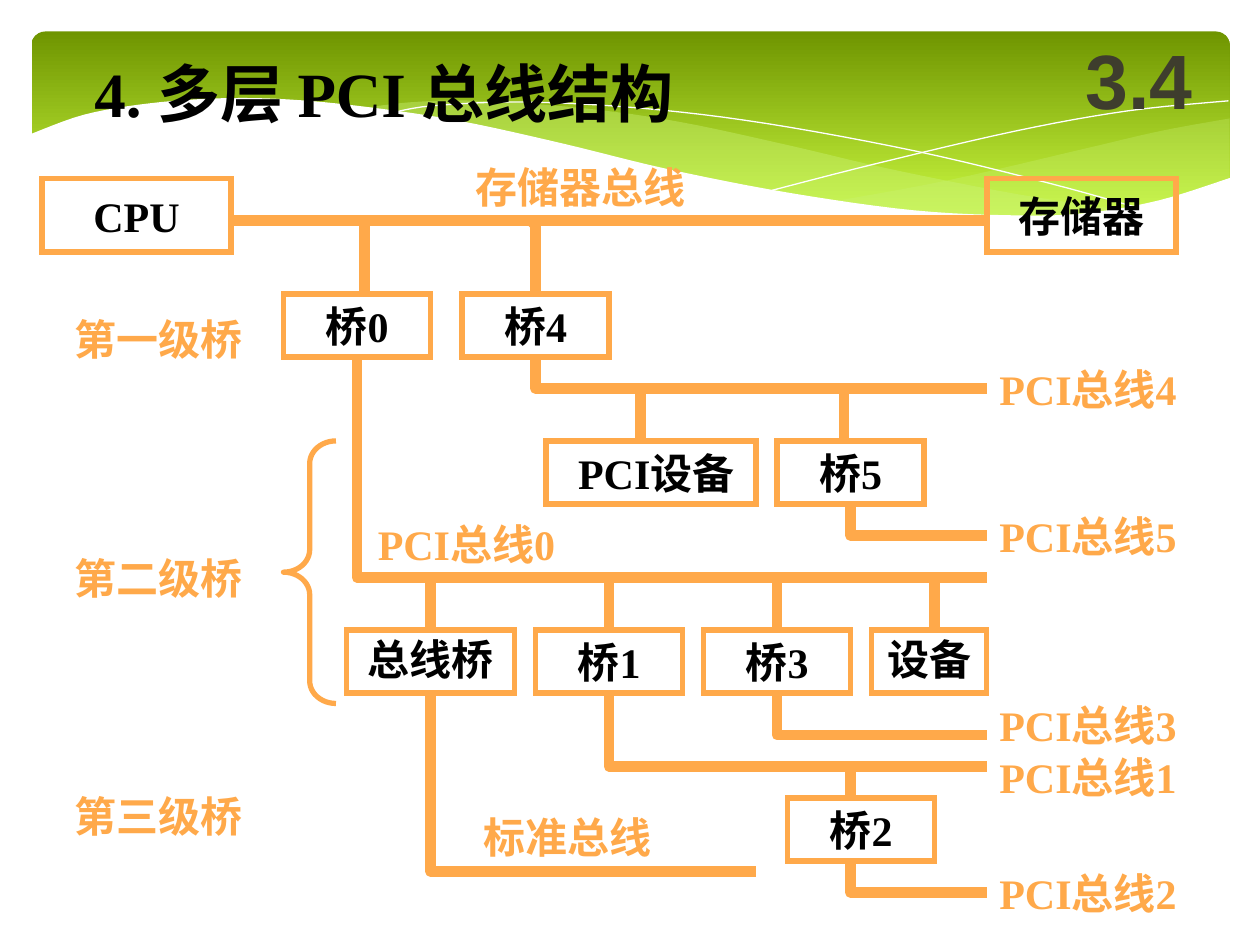
from pptx import Presentation, util as u
from pptx.dml.color import RGBColor
from pptx.enum import shapes, text
from pptx.oxml.ns import qn
from lxml import etree

COLORS = {"bus": "FFA94A", "ink": "000000", "number": "3E3D2D", "white": "FFFFFF",
          "wave": "CAF278", "top": "6F9500", "bottom": "D0FF44"}
COLUMNS = 120  # grid columns over the slide width; rows use the same step

# Banner curves, as points in inches
RIGHT_WAVE = [
    [(9.76, .94), (9.21, 1.04), (8.61, 1.18), (7.53, 1.43), (6.61, 1.6)],
    [(6.61, 1.6), (7.18, 1.67), (7.69, 1.71), (8.24, 1.72), (8.72, 1.69), (9.21, 1.6),
     (9.76, 1.41)]]
LONG_WAVE = [
    [(8.93, 1.67), (8.07, 1.54), (7.06, 1.34), (6.29, 1.16), (5.41, .97), (4.64, .86),
     (3.8, .8), (3.28, .81), (2.86, .86)],
    [(2.86, .86), (3.62, .97), (4.49, 1.16), (5.66, 1.43), (6.5, 1.58), (7.36, 1.69),
     (8.18, 1.73), (8.93, 1.67)]]
FALLING_LINE = [[(3.09, .9), (3.43, .84), (4.16, .81), (5.1, .86), (6.08, .98), (7.27, 1.2),
                 (8.31, 1.45), (9.07, 1.66)]]
RISING_LINE = [[(6.13, 1.51), (6.95, 1.3), (8.06, 1.04), (8.95, .88), (9.75, .8)]]
WHITE_EDGE = [
    [(9.77, 1.41), (9.2, 1.59), (8.63, 1.69), (8.09, 1.71), (7.26, 1.67), (6.26, 1.53),
     (5.29, 1.34), (4.47, 1.14), (3.65, .96), (2.92, .85), (2.3, .79), (1.76, .78),
     (1.19, .82), (.67, .91), (.23, 1.07)],
    [(.23, 1.07), (.23, 2.24)], [(.23, 2.24), (9.77, 2.24)]]
# curves, fill, opacity in percent (no fill: a white hairline)
WAVES = [(RIGHT_WAVE, "wave", 29), (LONG_WAVE, "wave", 40), (FALLING_LINE, None, 0),
         (RISING_LINE, None, 0), (WHITE_EDGE, "white", 100)]

# Diagram, in grid steps: text, left, top, width, height
BOXES = [
    ("CPU", 4, 17, 18, 7), ("存储器", 94, 17, 18, 7),
    ("桥0", 27, 28, 14, 6), ("桥4", 44, 28, 14, 6),
    (" PCI设备", 52, 42, 20, 6), ("桥5", 74, 42, 14, 6),
    ("总线桥", 33, 60, 16, 6), ("桥1", 51, 60, 14, 6),
    ("桥3", 67, 60, 14, 6), ("设备", 83, 60, 11, 6), ("桥2", 75, 76, 14, 6)]
RAISED = ("总线桥", "设备")
# column, from row, to row, box joined at its top middle
DROPS = [
    (34.7, 21.4, 28, None), (51, 21, 28, "桥4"), (80.4, 37.3, 42, None), (61, 37, 42, None),
    (41, 55, 60, "总线桥"), (58, 55, 60, "桥1"), (74, 55, 60, "桥3"), (89, 55, 60, None),
    (81, 73, 76, None)]
MEMORY_BUS = (22, 94, 21)  # from column, to column, row
BUS_END = 94
# column, from row, down to row, across to column
ELBOWS = [
    (51, 34, 37, BUS_END), (34, 34, 55, BUS_END), (81, 48, 51, BUS_END), (74, 66, 70, BUS_END),
    (58, 66, 73, BUS_END), (41, 66, 83, 72), (81, 82, 85, BUS_END)]
JUNCTIONS = [(34.4, 21), (50.5, 21)]
BRACE = (27, 42, 5, 25)
# text, left, top, width
LABELS = [
    ("第一级桥", 5.9, 29.3, 18.4), ("第二级桥", 5.9, 52, 18.4), ("第三级桥", 5.9, 74.7, 18.4),
    ("存储器总线", 44.1, 14.8, 22.6), ("标准总线", 44.9, 76.7, 18.4),
    ("PCI总线0", 34.8, 48.8, 21.6)] + [
    (f"PCI总线{n}", BUS_END, row, 21.6)
    for n, row in ((4, 34), (5, 48), (3, 66), (1, 71), (2, 82))]

prs = Presentation()
prs.slide_width, prs.slide_height = u.Inches(10), u.Inches(7.5)
slide = prs.slides.add_slide(prs.slide_layouts[6])
parts = slide.shapes


def rgb(name):
    return RGBColor.from_string(COLORS[name])


def grid(*steps):
    return [round(prs.slide_width * s / COLUMNS) for s in steps]


def paint(shape, fill=None, line=None, width=0):
    shape.shadow.inherit = False
    if fill:
        shape.fill.solid()
        shape.fill.fore_color.rgb = rgb(fill)
    else:
        shape.fill.background()
    if line:
        shape.line.color.rgb = rgb(line)
        shape.line.width = u.Pt(width)
    else:
        shape.line.fill.background()
    return shape


def write(shape, words, color, size=24, face="Times New Roman", **frame_format):
    frame = shape.text_frame
    for key, value in ({"word_wrap": False} | frame_format).items():
        setattr(frame, key, value)
    paragraph = frame.paragraphs[0]
    if frame.vertical_anchor == text.MSO_ANCHOR.MIDDLE:
        paragraph.alignment = text.PP_ALIGN.CENTER
    run = paragraph.add_run()
    run.text = words
    for key, value in {"size": u.Pt(size), "name": face, "bold": True}.items():
        setattr(run.font, key, value)
    run.font.color.rgb = rgb(color)


def label(words, color, place, size=24):
    """Write one unwrapped line in a text box that grows with it."""
    write(parts.add_textbox(*grid(*place)), words, color, size,
          auto_size=text.MSO_AUTO_SIZE.SHAPE_TO_FIT_TEXT)


def smooth(points, steps=6):
    """Sample a Catmull-Rom curve through the points."""
    padded = [points[0], *points, points[-1]]
    curve = [points[0]]
    for a, b, c, d in zip(padded, padded[1:], padded[2:], padded[3:]):
        for t in (i / steps for i in range(1, steps + 1)):
            curve.append(tuple(
                (2 * q + (r - p) * t + (2 * p - 5 * q + 4 * r - s) * t ** 2
                 + (3 * q - p - 3 * r + s) * t ** 3) / 2
                for p, q, r, s in zip(a, b, c, d)))
    return curve


def outline(points, close=False):
    """Build a freeform through points given in EMU."""
    builder = parts.build_freeform(*points[0], scale=1.0)
    builder.add_line_segments(points[1:], close=close)
    return builder.convert_to_shape()


def wire(x1, y1, x2, y2, box=None):
    line = parts.add_connector(shapes.MSO_CONNECTOR.STRAIGHT, *grid(x1, y1, x2, y2))
    line.line.color.rgb = rgb("bus")
    line.line.width = u.Pt(6)
    etree.SubElement(line._element.spPr, qn("a:effectLst"))
    if box:
        line.end_connect(box, 0)


banner = paint(parts.add_shape(shapes.MSO_SHAPE.ROUNDED_RECTANGLE,
                               *map(u.Inches, (.25, .25, 9.51, 1.56))))
banner.adjustments[0] = 0.07
banner.fill.gradient()
banner.fill.gradient_angle = 270
for stop, name, position in zip(banner.fill.gradient_stops, ("top", "bottom"), (0, 1)):
    stop.color.rgb, stop.position = rgb(name), position

for curves, fill, opacity in WAVES:
    points = [(u.Inches(x), u.Inches(y)) for curve in curves for x, y in smooth(curve)]
    wave = paint(outline(points, close=bool(fill)), fill, None if fill else "white")
    if fill and opacity < 100:
        color = wave._element.spPr.find(qn("a:solidFill"))[0]
        etree.SubElement(color, qn("a:alpha"), val=str(opacity * 1000))

label("4. 多层 PCI 总线结构", "ink", (7.8, 4.6, 61.9, 8.4), 36)
write(parts.add_textbox(*grid(101, 2, 15, 11)), "3.4", "number", 44, "Arial",
      word_wrap=True, vertical_anchor=text.MSO_ANCHOR.MIDDLE)

for x, y in JUNCTIONS:
    paint(parts.add_shape(shapes.MSO_SHAPE.OVAL, *grid(x, y, 0.6, 0.5)), "ink", "bus", 3)

brace = paint(parts.add_shape(shapes.MSO_SHAPE.LEFT_BRACE, *grid(*BRACE)), None, "bus", 3)
brace.adjustments[0] = 0.43

boxes = {}
for words, *place in BOXES:
    box = paint(parts.add_shape(shapes.MSO_SHAPE.RECTANGLE, *grid(*place)), None, "bus", 3)
    etree.SubElement(box._element.spPr.find(qn("a:ln")), qn("a:miter"), lim="800000")
    write(box, words, "ink", vertical_anchor=text.MSO_ANCHOR.MIDDLE,
          margin_top=u.Inches(0.01 if words in RAISED else 0.05))
    boxes[words] = box

start, end, row = MEMORY_BUS
wire(start, row, end, row)
for x, top, bottom, joined in DROPS:
    wire(x, top, x, bottom, boxes.get(joined))
for x, top, bottom, right in ELBOWS:
    corners = [grid(x, top), grid(x, bottom), grid(right, bottom)]
    paint(outline(corners), None, "bus", 6)

for words, left, top, width in LABELS:
    label(words, "bus", (left, top, width, 6))

prs.save("out.pptx")
